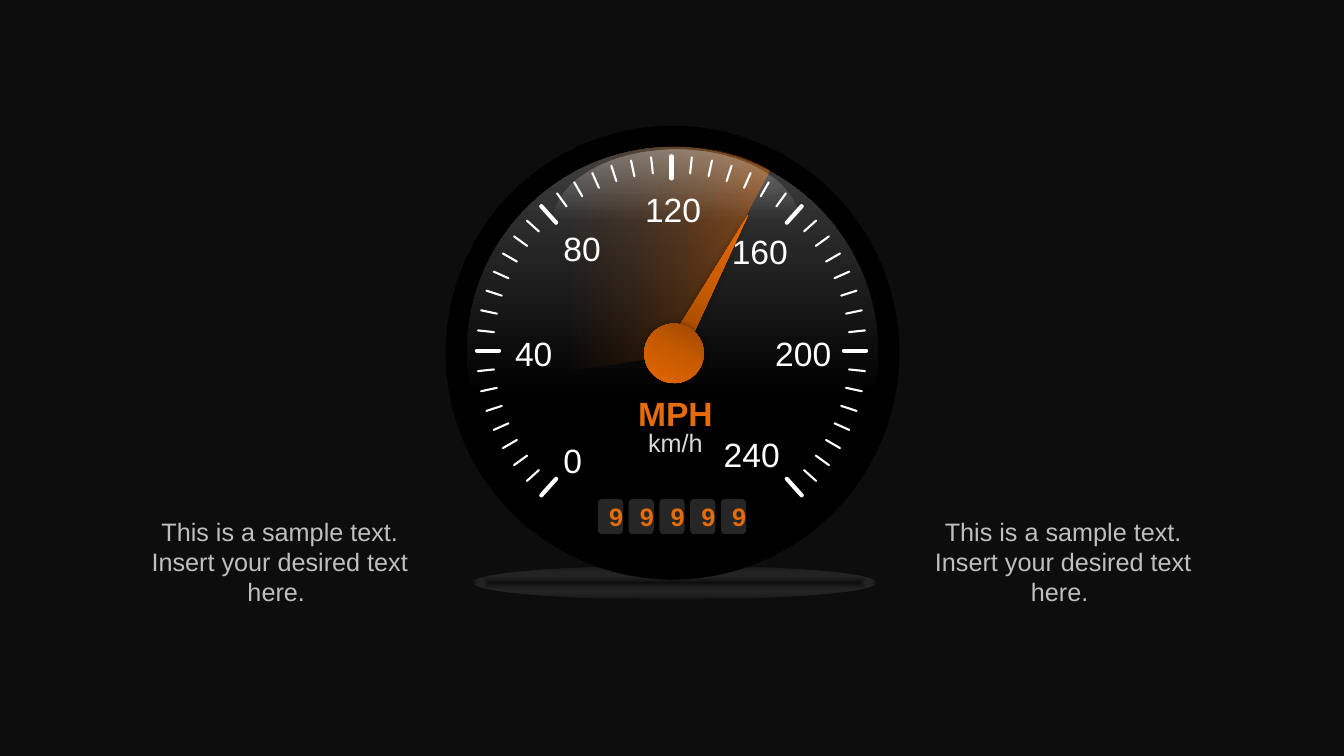
import math
import pptx
import pptx.dml.color
import pptx.enum.shapes
import pptx.enum.text
import pptx.oxml.ns
import pptx.util
from lxml import etree

Inches = pptx.util.Inches
Pt = pptx.util.Pt
qn = pptx.oxml.ns.qn
Shapes = pptx.enum.shapes.MSO_SHAPE
Align = pptx.enum.text.PP_ALIGN

FONT = "Arial"
ORANGE = "E46C0A"
WHITE = "FFFFFF"
DIAL_CENTER = (6.66, 3.48)
OUTER_RADIUS, MINOR_RADIUS, MAJOR_RADIUS = 1.93, 1.77, 1.71
MAJOR_ANGLES = (-48, 0, 48, 90, 132, 180, 228)
TICK_STEP = 6

DIAL_LABELS = [
    ("0", 5.49, 4.32, 0.39),
    ("40", 5.01, 3.25, 0.58),
    ("80", 5.49, 2.21, 0.58),
    ("120", 6.3, 1.83, 0.76),
    ("160", 7.16, 2.24, 0.76),
    ("200", 7.59, 3.25, 0.76),
    ("240", 7.08, 4.26, 0.76),
]
ODOMETER = "99999"
ODOMETER_LEFT, ODOMETER_LAST = 5.93, 7.15
CAPTION = "This is a sample text. Insert your desired text here. "
CAPTION_LEFTS = (1.36, 9.13)

FLOOR_GRADIENT = [(0, "0D0D0D", 38), (100, WHITE, 0)]
FACE_GRADIENT = [(0, "000000", 100), (100, "404040", 100)]
SWEEP_GRADIENT = [(32, "8D4000", 0), (100, "EE6B00", 46)]
GLOSS_GRADIENT = [(0, WHITE, 30), (48, WHITE, 0)]
NEEDLE_GRADIENT = [(0, "8D4000", 100), (50, "C85B00", 100), (100, "EE6B00", 100)]
NEEDLE_ANGLE = 28.2

RIM_FRAME = (4.44, 1.25, 4.45, 2.87)
RIM = [((4.48, 3.95),),
       ((4.19, 2.33), (5.42, 1.26), (6.67, 1.25)),
       ((7.92, 1.24), (9.14, 2.35), (8.85, 3.97)),
       ((7.83, 4.2), (5.48, 4.15), (4.48, 3.95))]
FACE_FRAME = (4.63, 1.46, 4.08, 2.5)
FACE = [((6.67, 1.46),),
        ((7.8, 1.46), (8.71, 2.37), (8.71, 3.5)),
        ((8.71, 3.62), (8.7, 3.73), (8.68, 3.84)),
        ((7.17, 4.03), (5.56, 3.96), (4.66, 3.85)),
        ((4.64, 3.73), (4.63, 3.62), (4.63, 3.5)),
        ((4.63, 2.37), (5.55, 1.46), (6.67, 1.46))]
SWEEP_FRAME = (4.63, 1.46, 3, 2.36)
SWEEP = [((6.7, 1.46),),
         ((7.03, 1.47), (7.33, 1.52), (7.63, 1.7)),
         ((6.67, 3.53),),
         ((4.66, 3.82),),
         ((4.64, 3.71), (4.63, 3.59), (4.63, 3.48)),
         ((4.63, 2.35), (5.57, 1.46), (6.7, 1.46))]
NEEDLE_FRAME = (6.94, 2.04, 0.2, 1.6)
NEEDLE = [((7.04, 2.04),), ((7.14, 3.64),), ((6.94, 3.64),)]

deck = pptx.Presentation()
deck.slide_width, deck.slide_height = Inches(13.33), Inches(7.5)
page = deck.slides.add_slide(deck.slide_layouts[6])


def color(value):
    return pptx.dml.color.RGBColor.from_string(value)


def add_color(parent, value, opacity):
    node = etree.SubElement(parent, qn("a:srgbClr"), val=value)
    etree.SubElement(node, qn("a:alpha"), val=str(opacity * 1000))


def paint(shape, fill, angle=None):
    shape.shadow.inherit = False
    shape.line.fill.background()
    if isinstance(fill, str):
        shape.fill.solid()
        shape.fill.fore_color.rgb = color(fill)
        return
    shape.fill.gradient()
    gradient = shape._element.spPr.find(qn("a:gradFill"))
    for child in list(gradient):
        gradient.remove(child)
    gradient.set("rotWithShape", "1")
    stops = etree.SubElement(gradient, qn("a:gsLst"))
    for position, value, opacity in fill:
        add_color(etree.SubElement(stops, qn("a:gs"), pos=str(position * 1000)), value, opacity)
    if angle is None:
        center = etree.SubElement(gradient, qn("a:path"), path="shape")
        etree.SubElement(center, qn("a:fillToRect"), l="50000", t="50000", r="50000", b="50000")
    else:
        etree.SubElement(gradient, qn("a:lin"), ang=str(angle * 60000), scaled="0")


def add_glow(shape):
    effects = shape._element.spPr.find(qn("a:effectLst"))
    glow = etree.SubElement(effects, qn("a:outerShdw"), blurRad=str(Pt(5)), dist="0", dir="0")
    add_color(glow, "000000", 40)


def add_preset(kind, left, top, width, height, fill, angle=None):
    shape = page.shapes.add_shape(kind, Inches(left), Inches(top), Inches(width), Inches(height))
    paint(shape, fill, angle)
    return shape


def add_outline(frame, segments, fill, angle=None):
    left, top, width, height = map(Inches, frame)
    builder = page.shapes.build_freeform(left, top)
    builder.add_line_segments([(left + width, top + height)], close=True)
    shape = builder.convert_to_shape()
    outline = next(shape._element.iter(qn("a:path")))
    for child in list(outline):
        outline.remove(child)
    for index, segment in enumerate(segments):
        tag = "a:moveTo" if index == 0 else "a:cubicBezTo" if len(segment) == 3 else "a:lnTo"
        command = etree.SubElement(outline, qn(tag))
        for x, y in segment:
            etree.SubElement(command, qn("a:pt"), x=str(Inches(x) - left), y=str(Inches(y) - top))
    etree.SubElement(outline, qn("a:close"))
    paint(shape, fill, angle)
    return shape


def write(shape, text, size, value, bold=False, align=Align.LEFT):
    shape.text_frame.text = text
    para = shape.text_frame.paragraphs[0]
    para.alignment = align
    font = para.runs[0].font
    font.name, font.size, font.bold = FONT, Pt(size), bold
    font.color.rgb = color(value)


def add_label(text, left, top, width, height, size, value, bold=False, wrap=False, align=Align.LEFT):
    box = page.shapes.add_textbox(Inches(left), Inches(top), Inches(width), Inches(height))
    box.text_frame.word_wrap = wrap
    box.text_frame.auto_size = pptx.enum.text.MSO_AUTO_SIZE.SHAPE_TO_FIT_TEXT
    write(box, text, size, value, bold, align)


def add_tick(angle):
    major = angle in MAJOR_ANGLES
    cosine, sine = math.cos(math.radians(angle)), math.sin(math.radians(angle))
    ends = [Inches(place)
            for radius in (OUTER_RADIUS, MAJOR_RADIUS if major else MINOR_RADIUS)
            for place in (DIAL_CENTER[0] + radius * cosine, DIAL_CENTER[1] - radius * sine)]
    tick = page.shapes.add_connector(pptx.enum.shapes.MSO_CONNECTOR.STRAIGHT, *ends)
    tick.line.color.rgb = color(WHITE)
    tick.line.width = Pt(3 if major else 1.5)
    tick.line._get_or_add_ln().set("cap", "rnd")
    etree.SubElement(tick._element.spPr, qn("a:effectLst"))


page.background.fill.solid()
page.background.fill.fore_color.rgb = color("0D0D0D")

add_preset(Shapes.OVAL, 4.69, 5.61, 4, 0.34, FLOOR_GRADIENT)
add_preset(Shapes.OVAL, 4.42, 1.25, 4.5, 4.5, "000000")
add_outline(RIM_FRAME, RIM, "000000")
add_outline(FACE_FRAME, FACE, FACE_GRADIENT, 270)
add_outline(SWEEP_FRAME, SWEEP, SWEEP_GRADIENT, 0)
add_preset(Shapes.OVAL, 5.48, 1.48, 2.45, 1.47, GLOSS_GRADIENT, 90)

for tick_angle in range(MAJOR_ANGLES[0], MAJOR_ANGLES[-1] + 1, TICK_STEP):
    add_tick(tick_angle)
for text, left, top, width in DIAL_LABELS:
    add_label(text, left, top, width, 0.5, 24, WHITE)
wheel_step = (ODOMETER_LAST - ODOMETER_LEFT) / (len(ODOMETER) - 1)
for index, digit in enumerate(ODOMETER):
    wheel = add_preset(Shapes.ROUNDED_RECTANGLE, ODOMETER_LEFT + index * wheel_step, 4.95,
                       0.25, 0.35, "262626")
    write(wheel, digit, 18, ORANGE, True, Align.CENTER)
add_label("MPH", 6.23, 3.85, 0.95, 0.5, 24, ORANGE, bold=True)
add_label("km/h", 6.33, 4.19, 0.75, 0.4, 18, "D9D9D9")

needle = add_outline(NEEDLE_FRAME, NEEDLE, NEEDLE_GRADIENT, 270)
hub = add_preset(Shapes.OVAL, 6.39, 3.21, 0.59, 0.59, NEEDLE_GRADIENT, 90)
for part in (needle, hub):
    part.rotation = NEEDLE_ANGLE
    add_glow(part)

for left in CAPTION_LEFTS:
    add_label(CAPTION, left, 5.07, 2.83, 1.01, 18, "BFBFBF", wrap=True, align=Align.CENTER)

deck.save("out.pptx")
